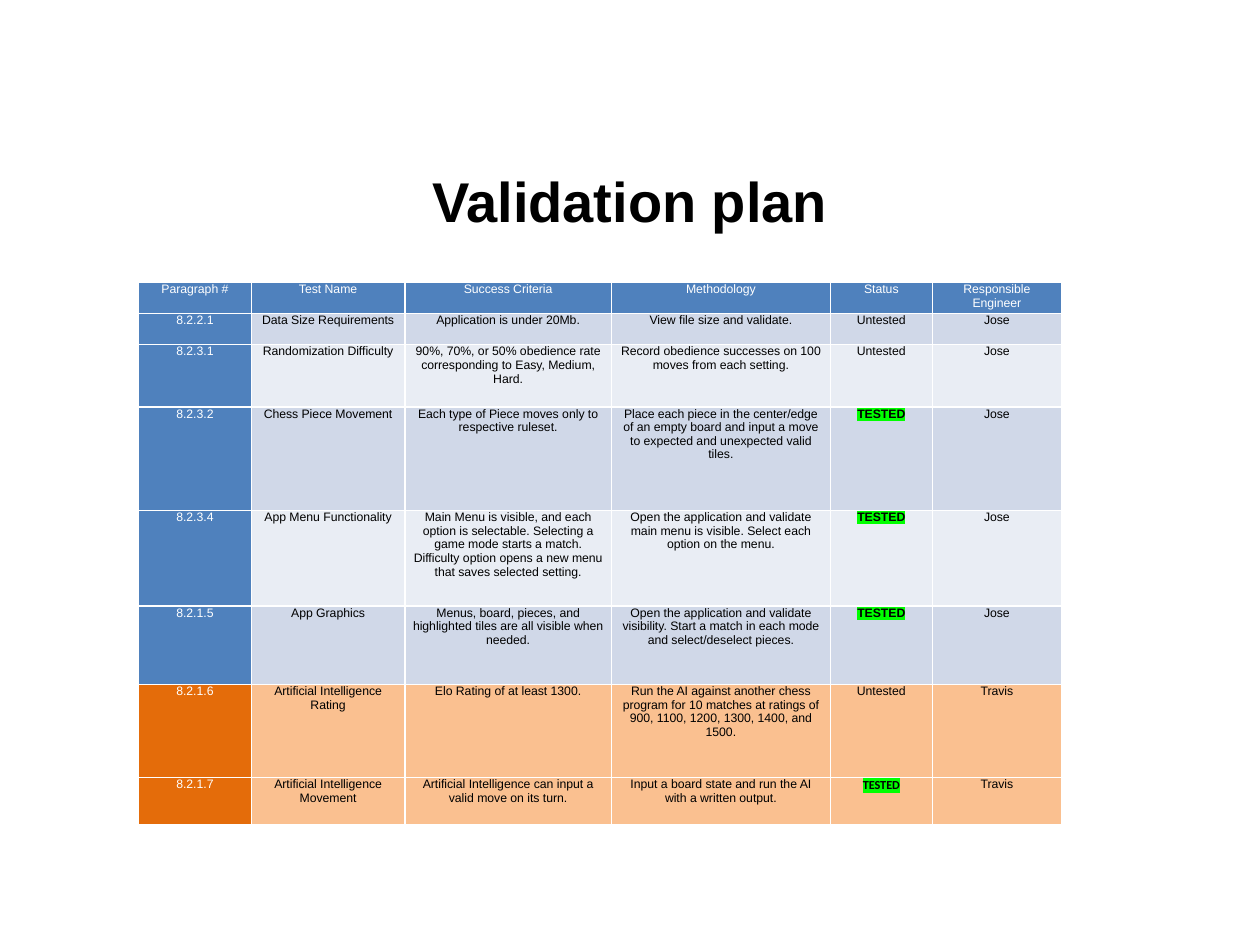
from lxml import etree
from pptx import Presentation
from pptx.dml.color import RGBColor
from pptx.enum import text
from pptx.oxml import ns
from pptx.util import Pt

COLORS = {
    "white": "FFFFFF", "black": "000000", "highlight": "00FF00",
    "blue": "4F81BD", "blue band": "D0D8E8", "blue pale": "E9EDF4",
    "orange": "E46C0A", "orange band": "FAC090",
}
COLUMN_WIDTHS = [64.4, 87.8, 118, 125.2, 58.2, 73.9]
ROW_HEIGHTS = [17.8, 17.9, 35.6, 59.2, 54.6, 44.8, 53.3, 26.7]
HEADINGS = ["Paragraph #", "Test Name", "Success Criteria", "Methodology",
            "Status", "Responsible Engineer"]
TESTS = [
    ["8.2.2.1", "Data Size Requirements", "Application is under 20Mb.",
     "View file size and validate.", "Untested", "Jose"],
    ["8.2.3.1", "Randomization Difficulty",
     "90%, 70%, or 50% obedience rate corresponding to Easy, Medium, Hard.",
     "Record obedience successes on 100 moves from each setting.",
     "Untested", "Jose"],
    ["8.2.3.2", "Chess Piece Movement",
     "Each type of Piece moves only to respective ruleset.",
     "Place each piece in the center/edge of an empty board and input a move "
     "to expected and unexpected valid tiles.", "TESTED", "Jose"],
    ["8.2.3.4", "App Menu Functionality",
     "Main Menu is visible, and each option is selectable. Selecting a game "
     "mode starts a match. Difficulty option opens a new menu that saves "
     "selected setting.",
     "Open the application and validate main menu is visible. Select each "
     "option on the menu.", "TESTED", "Jose"],
    ["8.2.1.5", "App Graphics",
     "Menus, board, pieces, and highlighted tiles are all visible when needed.",
     "Open the application and validate visibility. Start a match in each mode "
     "and select/deselect pieces.", "TESTED", "Jose"],
    ["8.2.1.6", "Artificial Intelligence Rating", "Elo Rating of at least 1300.",
     "Run the AI against another chess program for 10 matches at ratings of "
     "900, 1100, 1200, 1300, 1400, and 1500.", "Untested", "Travis"],
    ["8.2.1.7", "Artificial Intelligence Movement",
     "Artificial Intelligence can input a valid move on its turn.",
     "Input a board state and run the AI with a written output.",
     "TESTED", "Travis"],
]


def rgb(color):
    return RGBColor.from_string(COLORS[color])


def add_color(parent, tag, color):
    holder = etree.SubElement(parent, ns.qn(tag))
    etree.SubElement(holder, ns.qn("a:srgbClr"), val=COLORS[color])
    return holder


def format_text(paragraph, size, color, bold=False, font="Arial"):
    paragraph.alignment = text.PP_ALIGN.CENTER
    for run in paragraph.runs:
        run.font.name = font
        run.font.size = Pt(size)
        run.font.bold = bold
        run.font.color.rgb = rgb(color)


def highlight(run):
    """Mark the run's background, which must follow its fill in the XML."""
    properties = run.font._element
    mark = add_color(properties, "a:highlight", "highlight")
    properties.find(ns.qn("a:solidFill")).addnext(mark)


def set_borders(cell):
    properties = cell._tc.get_or_add_tcPr()
    for side in "LRTB":
        line = etree.SubElement(properties, ns.qn(f"a:ln{side}"), w=str(Pt(1)))
        add_color(line, "a:solidFill", "white")


def fill_colors(row, column):
    """Return the fill and text colours for a table position."""
    if row == 0:
        return "blue", "white"
    is_travis = TESTS[row - 1][-1] == "Travis"
    if column == 0:
        return ("orange" if is_travis else "blue"), "white"
    if is_travis:
        return "orange band", "black"
    return ("blue band" if row % 2 else "blue pale"), "black"


def format_cell(cell, wording, row, column):
    background, ink = fill_colors(row, column)
    cell.margin_left = cell.margin_right = Pt(4.3)
    cell.margin_top = cell.margin_bottom = 0
    set_borders(cell)
    cell.fill.solid()
    cell.fill.fore_color.rgb = rgb(background)

    paragraph = cell.text_frame.paragraphs[0]
    paragraph.text = wording
    tested = wording == "TESTED"
    last_status = tested and row == len(TESTS)
    format_text(paragraph, 7, ink, tested, "Calibri" if last_status else "Arial")
    if tested:
        highlight(paragraph.runs[0])


def add_title(slide, wording):
    title = slide.shapes.title
    title.left, title.top, title.width, title.height = Pt(36), Pt(82.8), Pt(648), Pt(63.4)
    title.text_frame.text = wording
    title.text_frame.vertical_anchor = text.MSO_ANCHOR.MIDDLE
    format_text(title.text_frame.paragraphs[0], 32, "black", bold=True)


def add_test_table(slide):
    rows = [HEADINGS] + TESTS
    table = slide.shapes.add_table(
        len(rows), len(HEADINGS), Pt(79.2), Pt(161.3),
        Pt(sum(COLUMN_WIDTHS)), Pt(sum(ROW_HEIGHTS))).table
    for column, width in zip(table.columns, COLUMN_WIDTHS):
        column.width = Pt(width)
    for row, height in zip(table.rows, ROW_HEIGHTS):
        row.height = Pt(height)
    for r, wordings in enumerate(rows):
        for c, wording in enumerate(wordings):
            format_cell(table.cell(r, c), wording, r, c)


def main():
    deck = Presentation()
    deck.slide_width, deck.slide_height = Pt(720), Pt(540)
    slide = deck.slides.add_slide(deck.slide_layouts[5])
    add_title(slide, "Validation plan")
    add_test_table(slide)
    deck.save("out.pptx")


if __name__ == "__main__":
    main()
